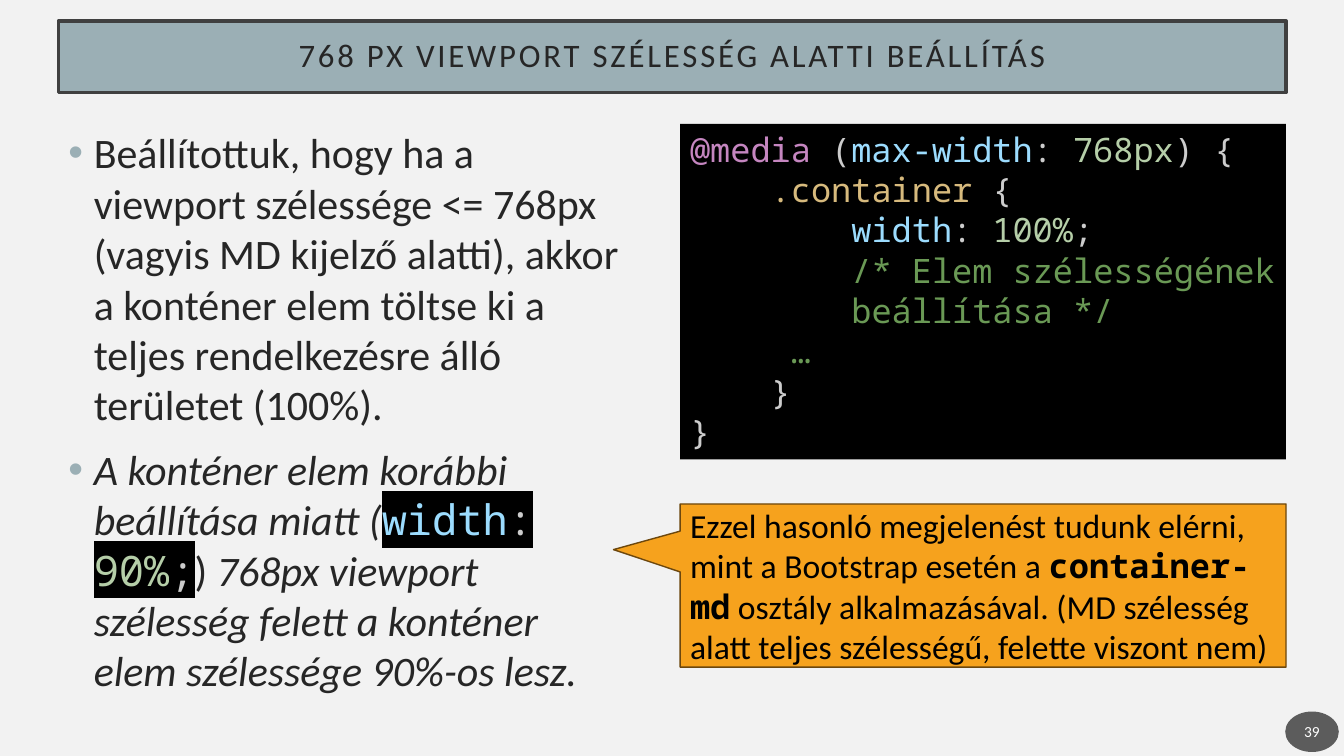
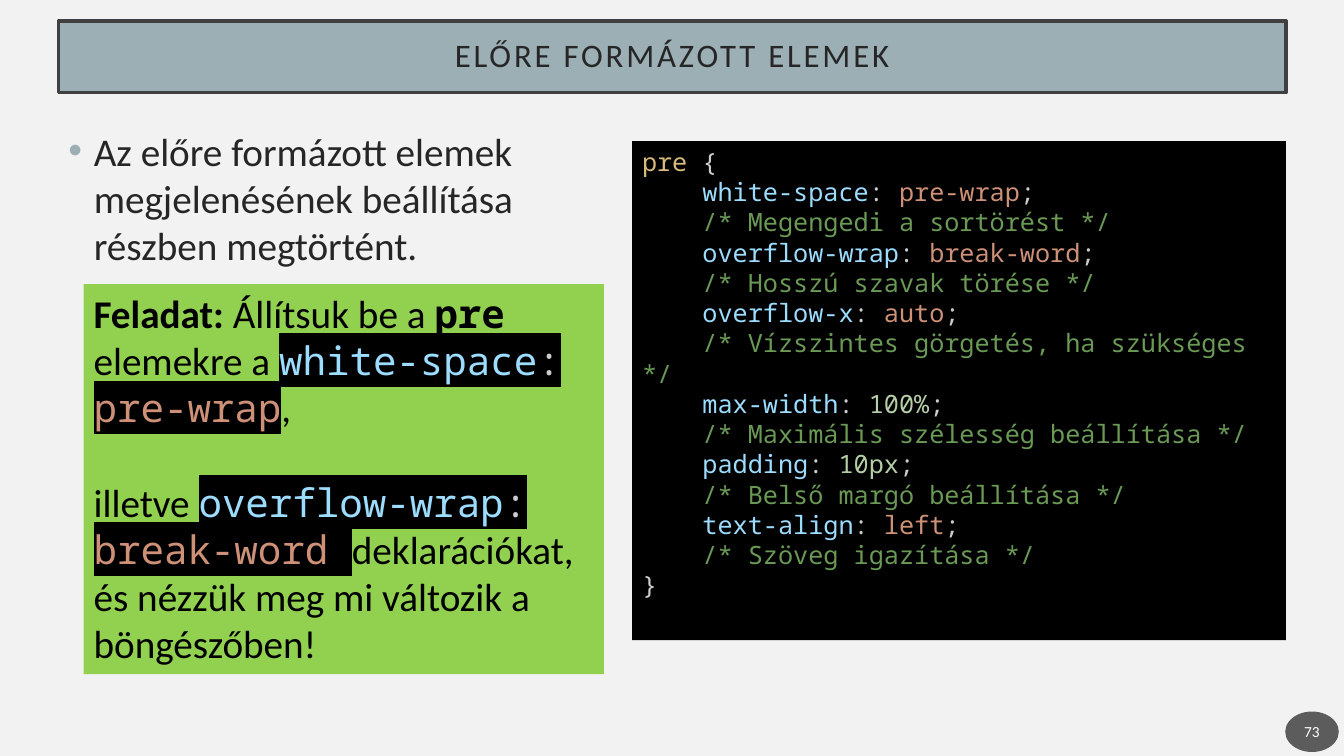
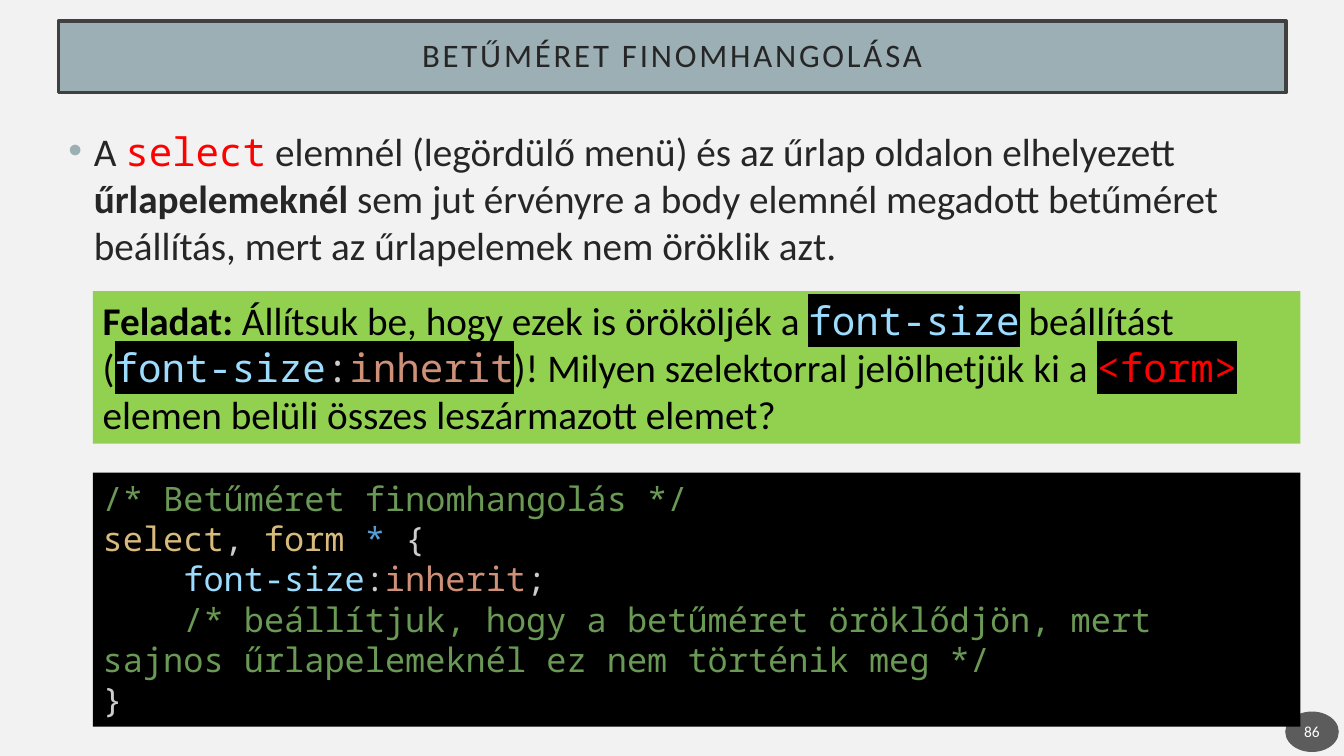
from lxml import etree
from pptx import Presentation
from pptx.dml.color import RGBColor
from pptx.enum.shapes import MSO_SHAPE
from pptx.enum.text import MSO_ANCHOR, MSO_AUTO_SIZE, PP_ALIGN
from pptx.oxml.ns import qn
from pptx.util import Cm, Pt

RECT, OVAL, CALL = MSO_SHAPE.RECTANGLE, MSO_SHAPE.OVAL, MSO_SHAPE.RECTANGULAR_CALLOUT
TOP, MIDDLE = MSO_ANCHOR.TOP, MSO_ANCHOR.MIDDLE
LEFT, CENTER = PP_ALIGN.LEFT, PP_ALIGN.CENTER
FIXED = MSO_AUTO_SIZE.NONE

SANS, MONO = "Calibri", "Noto Sans Mono"
HEX = {
    "page": "F2F2F2", "band": "9BAFB5", "edge": "404040", "ink": "262626",
    "black": "000000", "white": "FFFFFF", "badge": "1D1D1D", "task": "92D050",
    "tip": "F6A21D", "rim": "6C470D", "red": "FF0000", "pink": "C586C0",
    "sky": "9CDCFE", "grey": "CCCCCC", "lime": "B5CEA8", "gold": "D7BA7D",
    "green": "6A9955", "rust": "CE9178", "blue": "569CD6",
}
# Each style: font, colour (None takes the colour of the box), bold, italic
STYLE = {
    "text": (SANS, None, False, False),
    "bold": (SANS, None, True, False),
    "ital": (SANS, None, False, True),
    "name": (MONO, None, True, False),
    "word": (MONO, "red", False, False),
    "tag": (MONO, "red", False, False),
    "rule": (MONO, "pink", False, False),
    "prop": (MONO, "sky", False, False),
    "sign": (MONO, "grey", False, False),
    "num": (MONO, "lime", False, False),
    "sel": (MONO, "gold", False, False),
    "note": (MONO, "green", False, False),
    "val": (MONO, "rust", False, False),
    "star": (MONO, "blue", False, False),
}
MARKED = {"prop", "sign", "num", "val", "tag"}


def decl(prop, value, kind="val", pad="    ", sep=": "):
    """Return the runs of one CSS declaration."""
    return [("prop", pad + prop), ("sign", sep), (kind, value), ("sign", ";")]


def note(text, pad="    "):
    return [("note", pad + text)]


END = [("sign", "}")]

SLIDES = [
    {
        "title": "768 PX VIEWPORT SZÉLESSÉG ALATTI BEÁLLÍTÁS",
        "page": "39", "width": 14.45, "size": 30,
        "body": [
            [("text", "Beállítottuk, hogy ha a viewport szélessége <= 768px "
                      "(vagyis MD kijelző alatti), akkor a konténer elem töltse ki "
                      "a teljes rendelkezésre álló területet (100%).")],
            [("ital", "A konténer elem korábbi beállítása miatt ("),
             *decl("width", "90%", "num", pad=""),
             ("text", ")"),
             ("ital", " 768px viewport szélesség felett a konténer elem "
                      "szélessége 90%-os lesz.")],
        ],
        "boxes": [
            {"kind": "code", "at": (17.14, 3.12, 15.27, 8.46), "size": 24, "text": [
                [("rule", "@media"), ("sign", " ("), ("prop", "max-width"),
                 ("sign", ": "), ("num", "768px"), ("sign", ") {")],
                [("sel", "    .container"), ("sign", " {")],
                decl("width", "100%", "num", pad=" " * 8),
                note("/* Elem szélességének", " " * 8),
                note("beállítása */", " " * 8),
                note("…", " " * 5),
                [("sign", "    }")],
                END,
            ]},
            {"kind": "tip", "at": (17.14, 12.7, 15.27, 4.11), "size": 24, "text": [
                [("text", "Ezzel hasonló megjelenést tudunk elérni, mint a "
                          "Bootstrap esetén a "),
                 ("name", "container-md"),
                 ("text", " osztály alkalmazásával. (MD szélesség alatt teljes "
                          "szélességű, felette viszont nem)")],
            ]},
        ],
    },
    {
        "title": "ELŐRE FORMÁZOTT ELEMEK",
        "page": "73", "width": 14.45, "size": 28,
        "body": [[("text", "Az előre formázott elemek megjelenésének beállítása "
                           "részben megtörtént.")]],
        "boxes": [
            {"kind": "code", "at": (15.93, 3.56, 16.48, 12.57), "size": 18, "text": [
                [("sel", "pre"), ("sign", " {")],
                decl("white-space", "pre-wrap"),
                note("/* Megengedi a sortörést */"),
                decl("overflow-wrap", "break-word"),
                note("/* Hosszú szavak törése */"),
                decl("overflow-x", "auto"),
                note("/* Vízszintes görgetés, ha szükséges */"),
                decl("max-width", "100%", "num"),
                note("/* Maximális szélesség beállítása */"),
                decl("padding", "10px", "num"),
                note("/* Belső margó beállítása */"),
                decl("text-align", "left"),
                note("/* Szöveg igazítása */"),
                END,
            ]},
            {"kind": "task", "at": (2.11, 7.16, 13.11, 9.83), "size": 28, "gap": 34,
             "text": [
                [("bold", "Feladat: "), ("text", "Állítsuk be a "), ("name", "pre"),
                 ("text", " elemekre a "), ("prop", "white-space"), ("sign", ": "),
                 ("val", "pre-wrap"), ("text", ",")],
                [("text", "illetve "), ("prop", "overflow-wrap"), ("sign", ": "),
                 ("val", "break-word "),
                 ("text", "deklarációkat, és nézzük meg mi változik a böngészőben!")],
            ]},
        ],
    },
    {
        "title": "BETŰMÉRET FINOMHANGOLÁSA",
        "page": "86", "width": 30.91, "size": 28,
        "body": [[("text", "A "), ("word", "select"),
                  ("text", " elemnél (legördülő menü) és az űrlap oldalon elhelyezett "),
                  ("bold", "űrlapelemeknél"),
                  ("text", " sem jut érvényre a body elemnél megadott betűméret "
                           "beállítás, mert az űrlapelemek nem öröklik azt.")]],
        "boxes": [
            {"kind": "code", "at": (2.34, 11.91, 30.43, 6.4), "size": 24, "text": [
                note("/* Betűméret finomhangolás */", ""),
                [("sel", "select"), ("sign", ", "), ("sel", "form "),
                 ("star", "*"), ("sign", " {")],
                decl("font-size", "inherit", sep=":"),
                note("/* beállítjuk, hogy a betűméret öröklődjön, mert sajnos "
                     "űrlapelemeknél ez nem történik meg */"),
                END,
            ]},
            {"kind": "task", "at": (2.34, 7.34, 30.43, 3.84), "size": 28, "text": [
                [("bold", "Feladat: "),
                 ("text", "Állítsuk be, hogy ezek is örököljék a "),
                 ("prop", "font-size"), ("text", " beállítást ("),
                 ("prop", "font-size"), ("sign", ":"), ("val", "inherit"),
                 ("text", ")! Milyen szelektorral jelölhetjük ki a "),
                 ("tag", "<form>"),
                 ("text", " elemen belüli összes leszármazott elemet?")],
            ]},
        ],
    },
]

# Each kind of box: shape, fill, line, anchor
KINDS = {
    "code": (RECT, "black", None, TOP),
    "task": (RECT, "task", None, TOP),
    "tip": (CALL, "tip", "rim", MIDDLE),
}


def rgb(name):
    return RGBColor.from_string(HEX[name])


def node(parent, tag, **attrs):
    return etree.SubElement(parent, qn(tag), attrs)


def place(shape, at):
    shape.left, shape.top, shape.width, shape.height = map(Cm, at)


def paint(shape, fill, line=None, width=1):
    shape.fill.solid()
    shape.fill.fore_color.rgb = rgb(fill)
    if line:
        shape.line.color.rgb = rgb(line)
        shape.line.width = Pt(width)
    else:
        shape.line.fill.background()


def mark(run):
    """Put a black highlight behind a run."""
    fill = run._r.get_or_add_rPr().find(qn("a:solidFill"))
    light = etree.Element(qn("a:highlight"))
    node(light, "a:srgbClr", val=HEX["black"])
    fill.addnext(light)


def bullet(para):
    props = para._p.get_or_add_pPr()
    props.set("marL", str(Cm(0.64)))
    props.set("indent", str(-Cm(0.64)))
    node(node(props, "a:buClr"), "a:srgbClr", val=HEX["band"])
    node(props, "a:buFont", typeface="Arial")
    node(props, "a:buChar", char="•")


def write(shape, paras, size, ink, anchor=TOP, align=LEFT, gap=0,
          marked=True, dots=False):
    frame = shape.text_frame
    frame.word_wrap = True
    frame.auto_size = FIXED
    frame.vertical_anchor = anchor
    for i, runs in enumerate(paras):
        para = frame.add_paragraph() if i else frame.paragraphs[0]
        para.alignment = align
        para.space_before = Pt(gap if i else 0)
        if dots:
            bullet(para)
        for style, text in runs:
            face, tint, bold, ital = STYLE[style]
            run = para.add_run()
            run.text = text
            font = run.font
            font.name, font.size = face, Pt(size)
            font.bold, font.italic = bold, ital
            font.color.rgb = rgb(tint or ink)
            if marked and style in MARKED:
                mark(run)


def inset(shape, x, y):
    frame = shape.text_frame
    frame.margin_left = frame.margin_right = Cm(x)
    frame.margin_top = frame.margin_bottom = Cm(y)


def head(slide, text):
    title = slide.shapes.title
    place(title, (1.47, 0.53, 30.94, 1.8))
    paint(title, "band", "edge", 2.5)
    inset(title, 0.5, 0.5)
    write(title, [[("text", text)]], 23.4, "ink", MIDDLE, CENTER)
    para = title.text_frame.paragraphs[0]
    para.line_spacing = 0.9
    para.runs[0]._r.get_or_add_rPr().set("spc", "200")


def badge(slide, text):
    oval = slide.shapes.add_shape(OVAL, *map(Cm, (32.39, 17.93, 1.35, 1.02)))
    oval.shadow.inherit = False
    paint(oval, "badge")
    tint = oval._element.spPr.find(qn("a:solidFill")).find(qn("a:srgbClr"))
    node(tint, "a:alpha", val="70000")
    inset(oval, 0.05, 0.13)
    write(oval, [[("text", text)]], 11, "white", MIDDLE, CENTER)


def panel(slide, box):
    form, fill, line, anchor = KINDS[box["kind"]]
    shape = slide.shapes.add_shape(form, *map(Cm, box["at"]))
    shape.shadow.inherit = False
    if form == CALL:
        shape.adjustments[0], shape.adjustments[1] = -0.61, -0.22
    paint(shape, fill, line)
    write(shape, box["text"], box["size"], "black", anchor,
          gap=box.get("gap", 0), marked=box["kind"] != "code")


def main():
    prs = Presentation()
    prs.slide_width, prs.slide_height = Cm(33.87), Cm(19.05)
    back = prs.slide_master.background.fill
    back.solid()
    back.fore_color.rgb = rgb("page")
    for data in SLIDES:
        slide = prs.slides.add_slide(prs.slide_layouts[1])
        head(slide, data["title"])
        body = slide.placeholders[1]
        place(body, (1.47, 3.07, data["width"], 14.66))
        write(body, data["body"], data["size"], "ink", gap=10, dots=True)
        badge(slide, data["page"])
        for box in data["boxes"]:
            panel(slide, box)
    prs.save("out.pptx")


if __name__ == "__main__":
    main()
